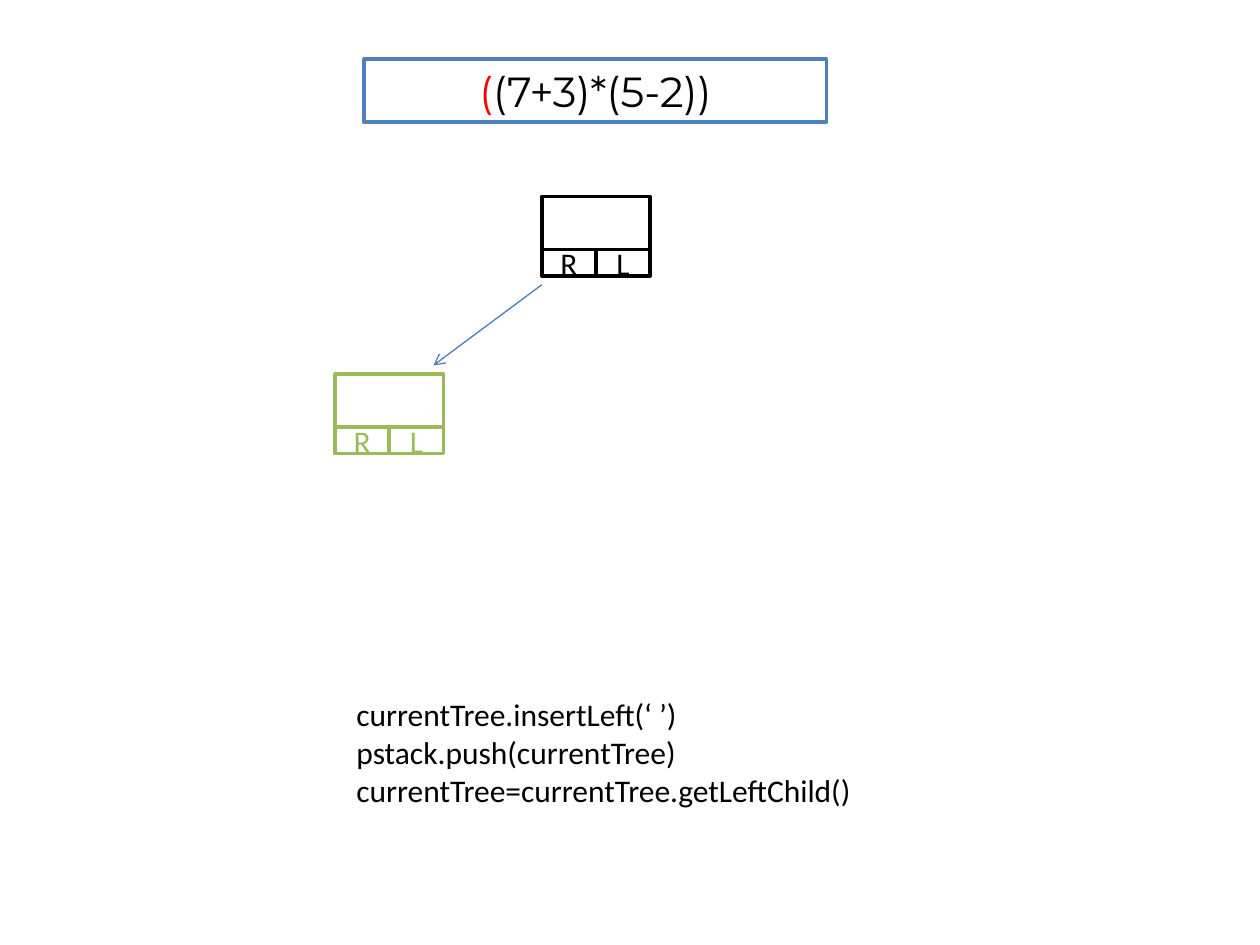
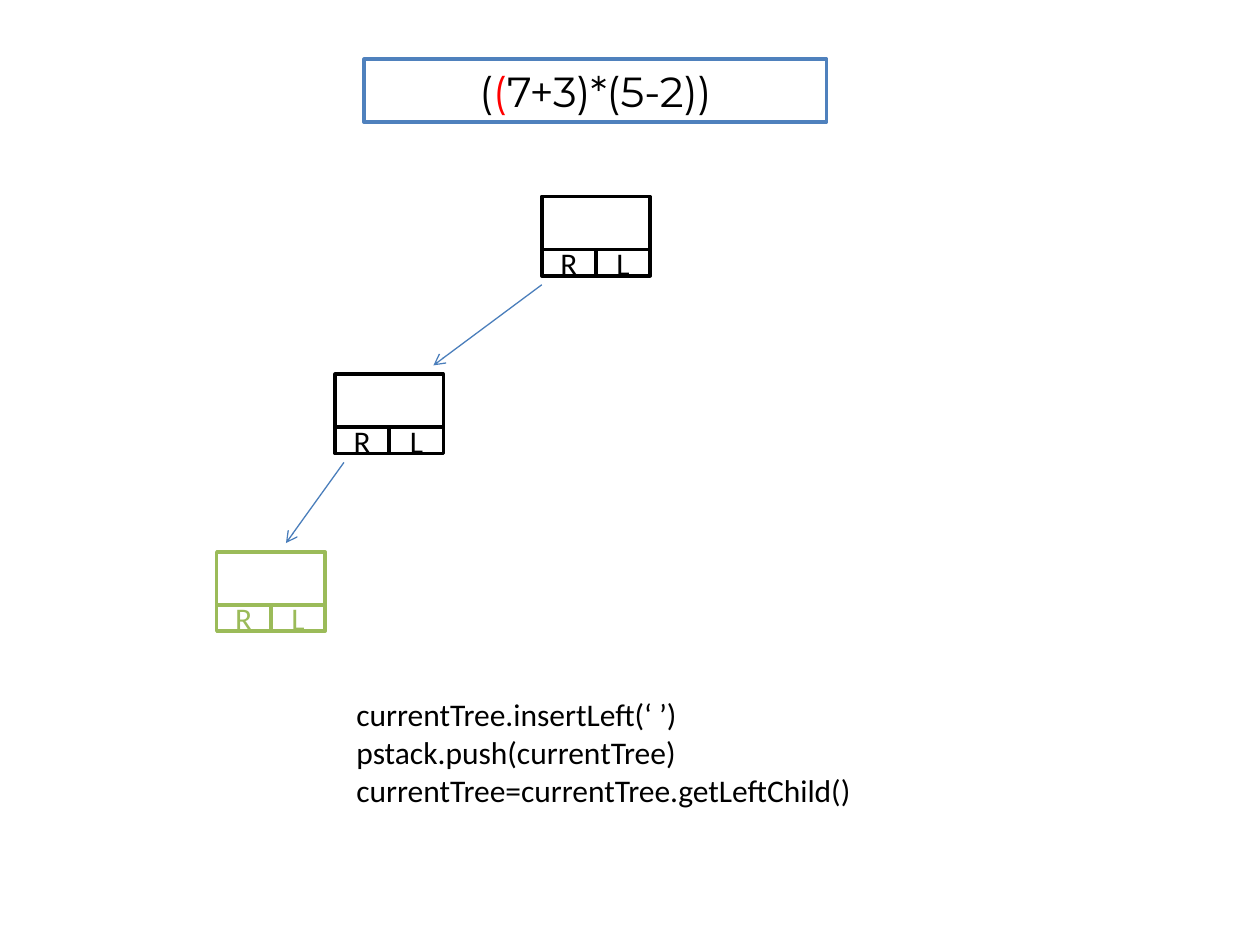
from dataclasses import dataclass

from lxml.etree import SubElement
from pptx import Presentation
from pptx.dml.color import RGBColor
from pptx.enum.shapes import MSO_CONNECTOR, MSO_SHAPE
from pptx.enum.text import MSO_ANCHOR, MSO_AUTO_SIZE, PP_ALIGN
from pptx.oxml.ns import qn
from pptx.util import Inches, Pt


@dataclass(frozen=True)
class Theme:
    black: RGBColor = RGBColor.from_string("000000")
    white: RGBColor = RGBColor.from_string("FFFFFF")
    current: RGBColor = RGBColor.from_string("9BBB59")
    token: RGBColor = RGBColor.from_string("FF0000")
    frame: RGBColor = RGBColor.from_string("4F81BD")
    arrow: RGBColor = RGBColor.from_string("4A7EBB")
    title_font: str = "Montserrat"
    body_font: str = "Calibri"
    title_size: Pt = Pt(24)
    body_size: Pt = Pt(18)
    border: Pt = Pt(2)
    arrow_width: Pt = Pt(0.75)


THEME = Theme()

EXPRESSION = "((7+3)*(5-2))"
CODE = [
    "currentTree.insertLeft(‘ ’)",
    "pstack.push(currentTree)",
    "currentTree=currentTree.getLeftChild()",
]
# Each step reads one token and descends to a new left child.
STEPS = [
    {"token_index": 0, "depth": 1},
    {"token_index": 1, "depth": 2},
]

NODE_LEFTS = [4.3, 2.66, 1.72]
ARROW_SPANS = [(4.3, 3.44), (2.73, 2.27)]  # start and end x below each parent
CHILD_LABELS = ["R", "L"]
TREE_TOP, LEVEL_STEP = 1.56, 1.41
NODE_WIDTH, VALUE_HEIGHT, CHILD_HEIGHT = 0.86, 0.42, 0.21
NODE_HEIGHT = VALUE_HEIGHT + CHILD_HEIGHT
ARROW_GAP = 0.07
EXPRESSION_BOX = (2.89, 0.47, 3.67, 0.5)
CODE_BOX = (2.73, 5.47, 4.22, 1)


def inches(*lengths):
    return [Inches(length) for length in lengths]


def style_font(font, name, size, color):
    font.name, font.size, font.color.rgb = name, size, color


def style_box(box, color):
    box.fill.solid()
    box.fill.fore_color.rgb = THEME.white
    box.line.color.rgb = color
    box.line.width = THEME.border


def add_expression(slide, token_index):
    title = slide.shapes.title
    title.left, title.top, title.width, title.height = inches(*EXPRESSION_BOX)
    style_box(title, THEME.frame)
    frame = title.text_frame
    frame.auto_size = MSO_AUTO_SIZE.NONE
    frame.vertical_anchor = MSO_ANCHOR.TOP
    paragraph = frame.paragraphs[0]
    paragraph.alignment = PP_ALIGN.CENTER
    parts = [
        (EXPRESSION[:token_index], THEME.black),
        (EXPRESSION[token_index], THEME.token),
        (EXPRESSION[token_index + 1:], THEME.black),
    ]
    for text, color in parts:
        if text:
            run = paragraph.add_run()
            run.text = text
            style_font(run.font, THEME.title_font, THEME.title_size, color)


def add_cell(node, left, top, width, height, color, label=""):
    cell = node.shapes.add_shape(MSO_SHAPE.RECTANGLE, *inches(left, top, width, height))
    cell.shadow.inherit = False
    style_box(cell, color)
    if label:
        cell.text_frame.text = label
        cell.text_frame.vertical_anchor = MSO_ANCHOR.MIDDLE
        paragraph = cell.text_frame.paragraphs[0]
        paragraph.alignment = PP_ALIGN.CENTER
        style_font(paragraph.runs[0].font, THEME.body_font, THEME.body_size, color)


def level_top(level):
    return TREE_TOP + level * LEVEL_STEP


def add_node(slide, level, color):
    """Add a value cell with the two child cells under it."""
    node = slide.shapes.add_group_shape()
    left, top = NODE_LEFTS[level], level_top(level)
    add_cell(node, left, top, NODE_WIDTH, VALUE_HEIGHT, color)
    child_width = NODE_WIDTH / len(CHILD_LABELS)
    for column, label in enumerate(CHILD_LABELS):
        add_cell(node, left + column * child_width, top + VALUE_HEIGHT,
                 child_width, CHILD_HEIGHT, color, label)


def add_arrow(slide, parent_level):
    start_x, end_x = ARROW_SPANS[parent_level]
    start_y = level_top(parent_level) + NODE_HEIGHT + ARROW_GAP
    end_y = level_top(parent_level + 1) - ARROW_GAP
    arrow = slide.shapes.add_connector(
        MSO_CONNECTOR.STRAIGHT, *inches(start_x, start_y, end_x, end_y))
    arrow.line.color.rgb = THEME.arrow
    arrow.line.width = THEME.arrow_width
    SubElement(arrow.line._get_or_add_ln(), qn("a:tailEnd"), type="arrow")
    SubElement(arrow._element.spPr, qn("a:effectLst"))


def add_code(slide):
    frame = slide.shapes.add_textbox(*inches(*CODE_BOX)).text_frame
    frame.word_wrap = True
    frame.text = "\n".join(CODE)
    for paragraph in frame.paragraphs:
        for run in paragraph.runs:
            style_font(run.font, THEME.body_font, THEME.body_size, THEME.black)


def add_step(presentation, token_index, depth):
    title_only = presentation.slide_layouts.get_by_name("Title Only")
    slide = presentation.slides.add_slide(title_only)
    add_expression(slide, token_index)
    for level in range(depth + 1):
        add_node(slide, level, THEME.current if level == depth else THEME.black)
    for parent_level in range(depth):
        add_arrow(slide, parent_level)
    add_code(slide)


def main():
    presentation = Presentation()
    presentation.slide_width, presentation.slide_height = inches(10, 7.5)
    for step in STEPS:
        add_step(presentation, **step)
    presentation.save("out.pptx")


if __name__ == "__main__":
    main()
